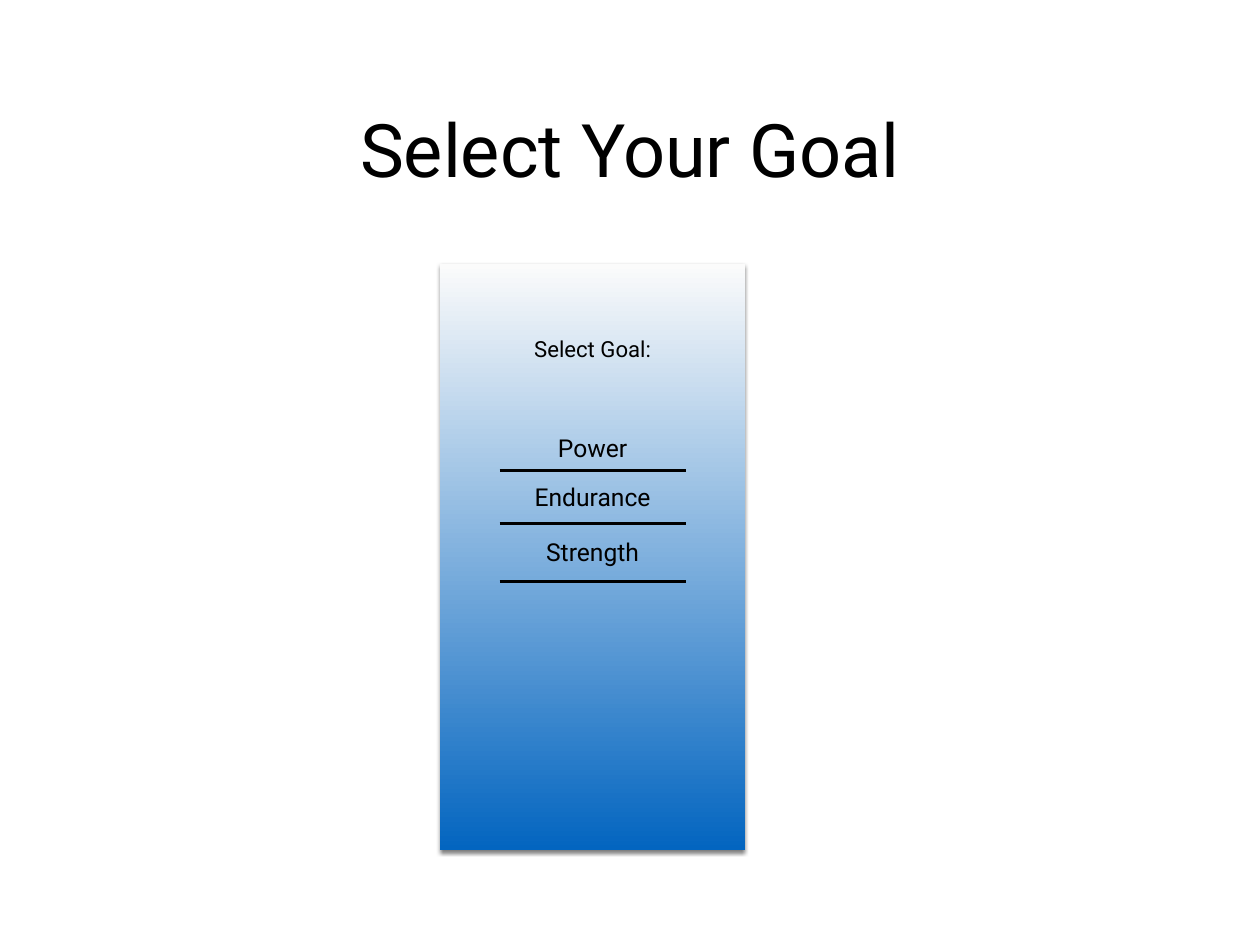
from lxml import etree
from pptx import Presentation
from pptx.dml.color import RGBColor
from pptx.enum.shapes import MSO_CONNECTOR, MSO_SHAPE
from pptx.enum.text import MSO_ANCHOR, MSO_AUTO_SIZE, PP_ALIGN
from pptx.oxml.ns import qn
from pptx.util import Pt

RECTANGLE = MSO_SHAPE.RECTANGLE
STRAIGHT = MSO_CONNECTOR.STRAIGHT
MIDDLE = MSO_ANCHOR.MIDDLE
CENTER = PP_ALIGN.CENTER
GROW = MSO_AUTO_SIZE.SHAPE_TO_FIT_TEXT
FIXED = MSO_AUTO_SIZE.NONE

FONT = "Roboto"
INSET = 4
COLORS = {"ink": "000000", "panel_top": "FBFBFB", "panel_bottom": "0365C0"}
GOALS = [("Power", 133.5, 168), ("Endurance", 173, 211), ("Strength", 218, 258)]


def color(name):
    return RGBColor.from_string(COLORS[name])


def add_text(slide, box, text, size, auto_size=GROW):
    shape = slide.shapes.add_textbox(*map(Pt, box))
    frame = shape.text_frame
    frame.word_wrap = True
    frame.auto_size = auto_size
    frame.vertical_anchor = MIDDLE
    frame.margin_left = frame.margin_right = Pt(INSET)
    frame.margin_top = frame.margin_bottom = Pt(INSET)
    paragraph = frame.paragraphs[0]
    paragraph.alignment = CENTER
    run = paragraph.add_run()
    run.text = text
    run.font.name = FONT
    run.font.size = Pt(size)
    run.font.color.rgb = color("ink")


def add_rule(slide, left, top, width):
    rule = slide.shapes.add_connector(
        STRAIGHT, Pt(left), Pt(top), Pt(left + width), Pt(top))
    rule.line.width = Pt(2)
    rule.line.color.rgb = color("ink")
    etree.SubElement(rule._element.spPr, qn("a:effectLst"))


def add_shadow(shape, blur, distance):
    shape.shadow.inherit = False
    effects = shape._element.spPr.find(qn("a:effectLst"))
    shadow = etree.SubElement(
        effects, qn("a:outerShdw"), blurRad=str(Pt(blur)),
        dist=str(Pt(distance)), dir="5400000", rotWithShape="0")
    tint = etree.SubElement(shadow, qn("a:srgbClr"), val=COLORS["ink"])
    etree.SubElement(tint, qn("a:alpha"), val="50000")


def add_panel(slide, box):
    panel = slide.shapes.add_shape(RECTANGLE, *map(Pt, box))
    panel.fill.gradient()
    panel.fill.gradient_angle = 270
    for stop, name, position in zip(
            panel.fill.gradient_stops, ("panel_top", "panel_bottom"), (0, 1)):
        stop.color.rgb = color(name)
        stop.position = position
    panel.line.fill.background()
    add_shadow(panel, 3, 2)


def add_goal_picker(slide, box):
    left, top, width, height = box
    add_panel(slide, box)
    rule_width = 151
    rule_left = left + (width - rule_width) / 2
    add_text(slide, (rule_left, top + 53.5, rule_width, 30), "Select Goal:", 18)
    for goal, text_top, rule_top in GOALS:
        add_text(slide, (rule_left, top + text_top, rule_width, 32), goal, 20)
        add_rule(slide, rule_left, top + rule_top, rule_width)


def main():
    presentation = Presentation()
    presentation.slide_width = Pt(1024)
    presentation.slide_height = Pt(768)
    slide = presentation.slides.add_slide(presentation.slide_layouts[6])
    add_text(slide, (75, 35, 874, 170), "Select Your Goal", 60, FIXED)
    add_goal_picker(slide, (357.75, 214.5, 247.75, 476.5))
    presentation.save("out.pptx")


if __name__ == "__main__":
    main()
